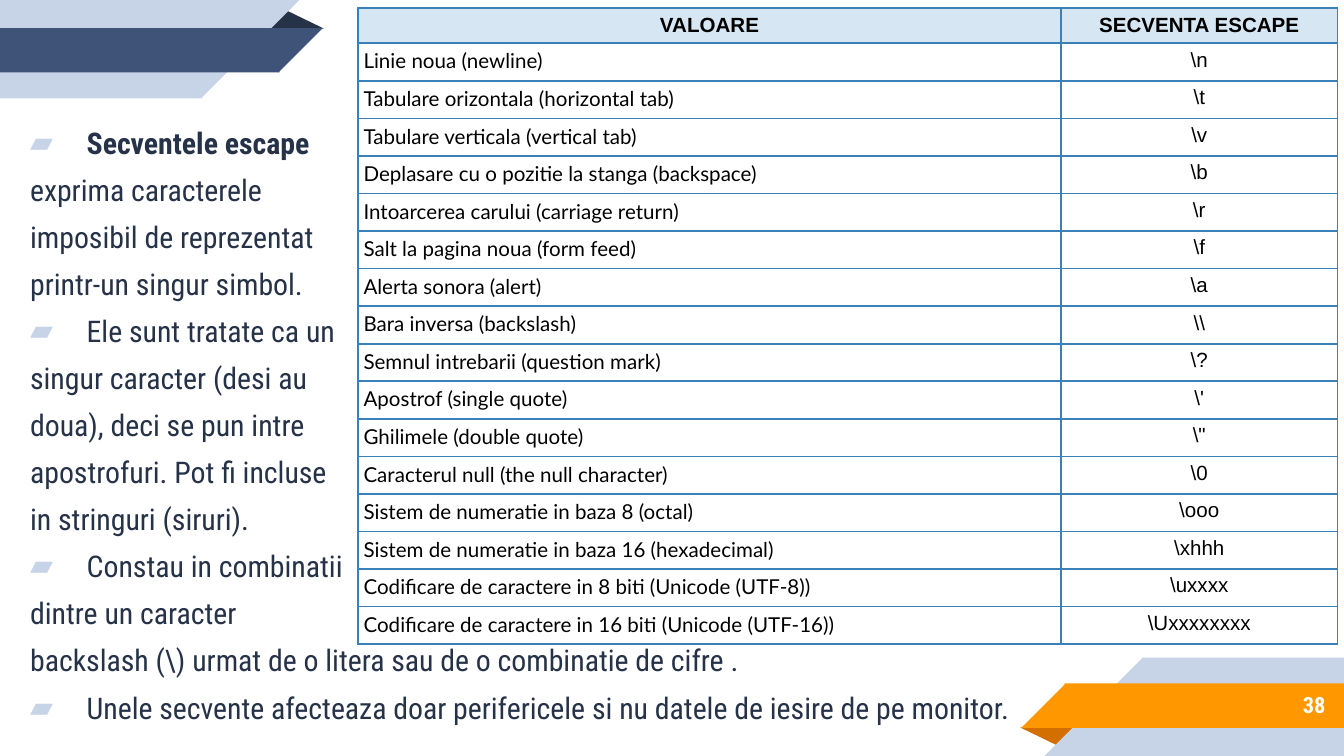
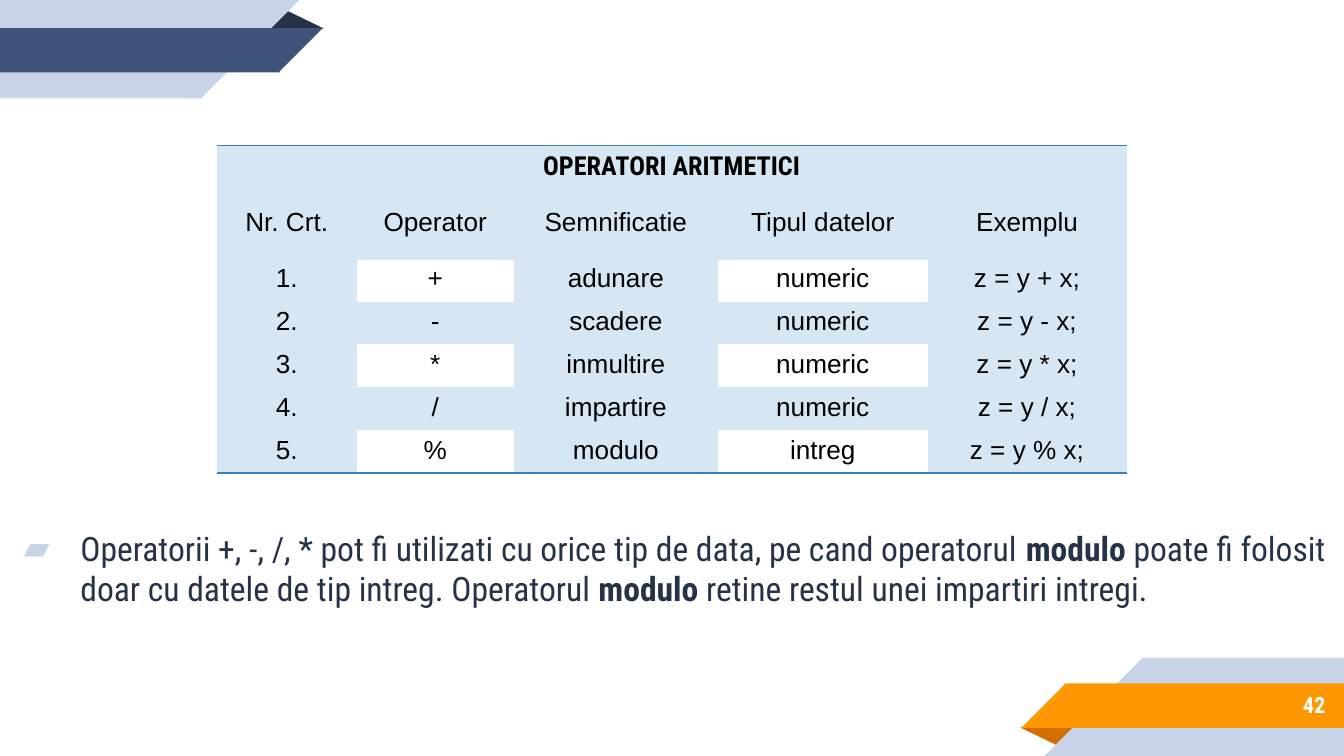
"""Build two slides on escape sequences and arithmetic operators."""
from lxml import etree
from pptx import Presentation
from pptx import util as u
from pptx.dml.color import RGBColor
from pptx.enum import shapes, text
from pptx.oxml import ns

Cm, Pt = u.Cm, u.Pt
hue = RGBColor.from_string
kind = shapes.MSO_SHAPE
side = text.PP_ALIGN
NAVY, BLUE, PALE = "263248", "3F5378", "C7D3E6"
RUST, GOLD, WHITE = "D26F00", "FF9800", "FFFFFF"
EDGE, TINT, BLACK = "3A81BA", "D6E6F2", "000000"
HEAD = "Roboto Condensed"
WIDE, HIGH = 25.4, 14.29

BANDS = [
    (kind.ISOSCELES_TRIANGLE, 5.03, 0.18, 1.09, 0.36, NAVY, RUST),
    (kind.RECTANGLE, 0, 0, 3.82, 1.86, PALE, PALE),
    (kind.RIGHT_TRIANGLE, 3.8, 0, 1.86, 1.86, PALE, PALE),
    (kind.RECTANGLE, 0, 0.53, 5.28, 0.84, BLUE, GOLD),
    (kind.RIGHT_TRIANGLE, 5.26, 0.53, 0.84, 0.84, BLUE, GOLD),
]

NOTES = [
    ["|Secventele escape|", "exprima caracterele", "imposibil de reprezentat",
     "printr-un singur simbol."],
    ["Ele sunt tratate ca un", "singur caracter (desi au",
     "doua), deci se pun intre", "apostrofuri. Pot fi incluse",
     "in stringuri (siruri)."],
    ["Constau in combinatii", "dintre un caracter",
     "backslash (\\) urmat de o litera sau de o combinatie de cifre ."],
    ["Unele secvente afecteaza doar perifericele si nu datele de iesire "
     "de pe monitor."],
]
RULE = [[
    "Operatorii +, -, /, * pot fi utilizati cu orice tip de data, pe cand "
    "operatorul |modulo| poate fi folosit doar cu datele de tip intreg. "
    "Operatorul |modulo| retine restul unei impartiri intregi."
]]
CODES = [
    ("VALOARE", "SECVENTA ESCAPE"),
    ("Linie noua (newline)", r"\n"),
    ("Tabulare orizontala (horizontal tab)", r"\t"),
    ("Tabulare verticala (vertical tab)", r"\v"),
    ("Deplasare cu o pozitie la stanga (backspace)", r"\b"),
    ("Intoarcerea carului (carriage return)", r"\r"),
    ("Salt la pagina noua (form feed)", r"\f"),
    ("Alerta sonora (alert)", r"\a"),
    ("Bara inversa (backslash)", r"\\"),
    ("Semnul intrebarii (question mark)", r"\?"),
    ("Apostrof (single quote)", r"\'"),
    ("Ghilimele (double quote)", r'\"'),
    ("Caracterul null (the null character)", r"\0"),
    ("Sistem de numeratie in baza 8 (octal)", r"\ooo"),
    ("Sistem de numeratie in baza 16 (hexadecimal)", r"\xhhh"),
    ("Codificare de caractere in 8 biti (Unicode (UTF-8))", r"\uxxxx"),
    ("Codificare de caractere in 16 biti (Unicode (UTF-16))", r"\Uxxxxxxxx"),
]
SIGNS = [
    ("OPERATORI ARITMETICI", "", "", "", ""),
    ("Nr. Crt.", "Operator", "Semnificatie", "Tipul datelor", "Exemplu"),
    ("1.", "+", "adunare", "numeric", "z = y + x;"),
    ("2.", "-", "scadere", "numeric", "z = y - x;"),
    ("3.", "*", "inmultire", "numeric", "z = y * x;"),
    ("4.", "/", "impartire", "numeric", "z = y / x;"),
    ("5.", "%", "modulo", "intreg", "z = y % x;"),
]

PAGES = [
    ("38", (0.12, 2.11, 21.59, 12.04), 16, NOTES,
     (6.77, 0.15), (13.28, 5.23), [0.66] + [0.71] * 16, CODES),
    ("42", (0, 9.73, 25.4, 2.3), 18, RULE,
     (4.1, 2.75), (2.64, 2.97, 3.86, 3.96, 3.76), [1.07] * 2 + [0.81] * 5,
     SIGNS),
]


def style(font, size, color, bold=False, name=HEAD):
    font.name, font.size, font.bold = name, Pt(size), bold
    font.color.rgb = hue(color)


def rim(cell, sides, color, width):
    for s in sides:
        line = etree.SubElement(cell._tc.get_or_add_tcPr(),
                                ns.qn(f"a:ln{s}"), w=str(Pt(width)))
        fill = etree.SubElement(line, ns.qn("a:solidFill"))
        etree.SubElement(fill, ns.qn("a:srgbClr"), val=color)


deck = Presentation()
deck.slide_width, deck.slide_height = Cm(WIDE), Cm(HIGH)

for num, area, size, groups, spot, cols, rows, data in PAGES:
    slide = deck.slides.add_slide(deck.slide_layouts[6])

    for turn in (False, True):
        band = slide.shapes.add_group_shape()
        for form, x, y, w, h, cool, warm in BANDS:
            if turn:
                x, y = WIDE - x - w, HIGH - y - h
            part = band.shapes.add_shape(form, Cm(x), Cm(y), Cm(w), Cm(h))
            part.shadow.inherit = False
            part.fill.solid()
            part.fill.fore_color.rgb = hue(warm if turn else cool)
            part.line.fill.background()
            peak = form == kind.ISOSCELES_TRIANGLE
            part.rotation = 180 if turn == peak else 0
            if peak:
                part.adjustments[0] = 0.32
            else:
                part._element.spPr.xfrm.set("flipH", "1")

    box = slide.shapes.add_textbox(Cm(21.16), Cm(12.88), Cm(4.14), Cm(0.89))
    frame = box.text_frame
    frame.word_wrap = True
    frame.vertical_anchor = text.MSO_ANCHOR.MIDDLE
    frame.margin_top = frame.margin_bottom = Cm(0.25)
    frame.text = num
    frame.paragraphs[0].alignment = side.RIGHT
    style(frame.paragraphs[0].runs[0].font, 12, WHITE, True)

    frame = slide.shapes.add_textbox(*map(Cm, area)).text_frame
    frame.word_wrap = True
    frame.margin_top = frame.margin_bottom = Cm(0.25)
    lines = [(t, i == 0) for g in groups for i, t in enumerate(g)]
    for i, (words, first) in enumerate(lines):
        para = frame.add_paragraph() if i else frame.paragraphs[0]
        para.space_before = Pt(6)
        props = para._p.get_or_add_pPr()
        props.set("marL", str(Cm(1.27 if first else 0.2)))
        props.set("indent", str(Cm(-1.07 if first else 0)))
        if first:
            tone = etree.SubElement(props, ns.qn("a:buClr"))
            etree.SubElement(tone, ns.qn("a:srgbClr"), val=PALE)
            etree.SubElement(props, ns.qn("a:buFont"), typeface=HEAD)
            etree.SubElement(props, ns.qn("a:buChar"), char="▰")
        for k, piece in enumerate(words.split("|")):
            if piece:
                run = para.add_run()
                run.text = piece
                style(run.font, size, NAVY, k % 2 == 1)

    grid = slide.shapes.add_table(
        len(rows), len(cols), *map(Cm, spot), Cm(sum(cols)), Cm(sum(rows))
    ).table
    grid.first_row = grid.horz_banding = False
    plain = grid._tbl.tblPr.find(ns.qn("a:tableStyleId"))
    plain.text = "{2D5ABB26-0587-4C30-8999-92F81FD0307C}"
    for col, w in zip(grid.columns, cols):
        col.width = Cm(w)
    for row, h in zip(grid.rows, rows):
        row.height = Cm(h)
    codes = data is CODES
    if not codes:
        grid.cell(0, 0).merge(grid.cell(0, 4))

    for r, row in enumerate(data):
        for c, words in enumerate(row):
            cell = grid.cell(r, c)
            cell.margin_top = cell.margin_bottom = Cm(0.1)
            if codes:
                rim(cell, "LRTB", EDGE, 1)
                cell.margin_left = cell.margin_right = Cm(0.1)
                fill = WHITE if r else TINT
                face = "Lato" if r and c == 0 else "Arial"
                if r == 0:
                    cell.vertical_anchor = text.MSO_ANCHOR.MIDDLE
            else:
                if r == 0:
                    rim(cell, "T", EDGE, 1)
                elif r == 1 and c:
                    rim(cell, "TB", TINT, 0.25)
                elif r == len(rows) - 1:
                    rim(cell, "B", EDGE, 1)
                fill = None if r > 1 and r % 2 == 0 and c % 2 else TINT
                face = "Arial" if r else HEAD
            if fill:
                cell.fill.solid()
                cell.fill.fore_color.rgb = hue(fill)
            else:
                cell.fill.background()
            if words:
                cell.text_frame.text = words
                para = cell.text_frame.paragraphs[0]
                para.alignment = side.LEFT if face == "Lato" else side.CENTER
                style(para.runs[0].font, 11 if codes else 14, BLACK,
                      r == 0, face)

deck.save("out.pptx")
